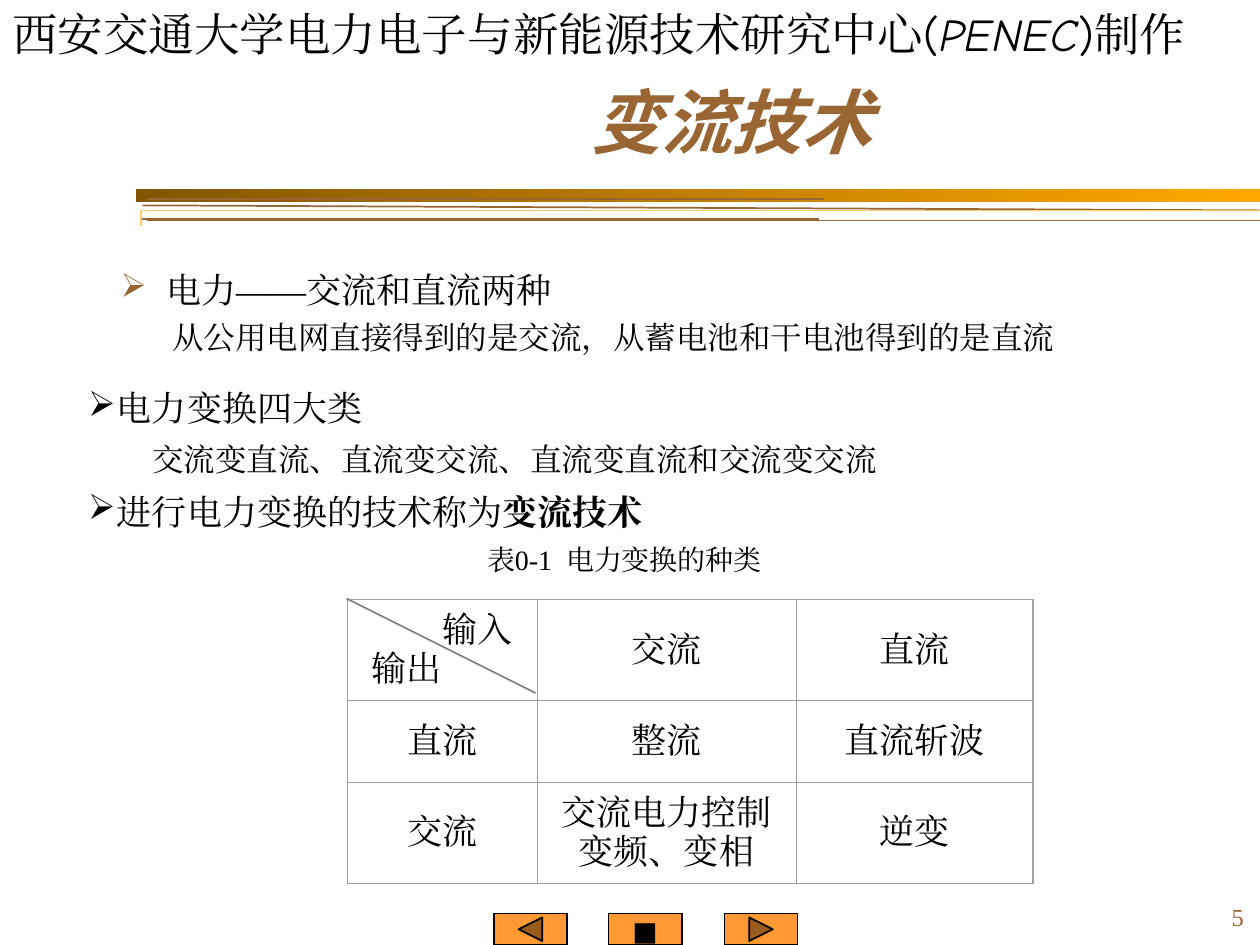
from dataclasses import dataclass
from typing import Optional

from lxml import etree
from pptx import Presentation
from pptx.dml.color import RGBColor
from pptx.enum import lang, shapes, text
from pptx.oxml import ns
from pptx.util import Inches, Pt

BLACK = RGBColor(0x00, 0x00, 0x00)
BROWN = RGBColor(0x99, 0x66, 0x33)
DARK_GOLD = RGBColor(0x82, 0x56, 0x00)
GOLD = RGBColor(0xFF, 0xA8, 0x00)
PALE_GOLD = RGBColor(0xFF, 0xCC, 0x66)
ORANGE = RGBColor(0xFF, 0x99, 0x33)
GRID_GRAY = RGBColor(0xA0, 0xA0, 0xA0)
DIAGONAL_GRAY = RGBColor(0x80, 0x80, 0x80)
SERIF, COMIC, SANS = "Times New Roman", "Comic Neue", "Noto Sans CJK SC"
ALIGN, ANCHOR = text.PP_ALIGN, text.MSO_ANCHOR


@dataclass
class Span:
    words: str
    size: float
    font: str = SERIF
    color: RGBColor = BLACK
    bold: bool = False
    italic: bool = False


@dataclass
class Para:
    spans: list[Span]
    align: ALIGN = ALIGN.LEFT
    margin: float = 0
    indent: float = 0
    bullet: Optional[RGBColor] = None
    bullet_size: int = 100
    before: float = 0
    spacing: float = 1.0


def sub(parent, tag: str, **attributes: str):
    return etree.SubElement(parent, ns.qn(tag), attributes)


def write(frame, paras: list[Para]) -> None:
    for index, para in enumerate(paras):
        paragraph = frame.paragraphs[0] if index == 0 else frame.add_paragraph()
        properties = paragraph._p.get_or_add_pPr()
        properties.set("marL", str(Inches(para.margin)))
        properties.set("indent", str(Inches(para.indent)))
        if para.bullet is not None:
            sub(sub(properties, "a:buClr"), "a:srgbClr", val=str(para.bullet))
            sub(properties, "a:buSzPct", val=str(para.bullet_size * 1000))
            sub(properties, "a:buChar", char="➢")
        paragraph.alignment = para.align
        paragraph.line_spacing = para.spacing
        paragraph.space_before = Pt(para.before)
        for span in para.spans:
            run = paragraph.add_run()
            run.text = span.words
            font = run.font
            font.size, font.name = Pt(span.size), span.font
            font.bold, font.italic = span.bold, span.italic
            font.color.rgb = span.color
            font.language_id = lang.MSO_LANGUAGE_ID.SIMPLIFIED_CHINESE
            sub(run._r.get_or_add_rPr(), "a:ea", typeface=span.font)


def add_text(slide, left: float, top: float, width: float, height: float,
             paras: list[Para], anchor: ANCHOR = ANCHOR.TOP) -> None:
    frame = slide.shapes.add_textbox(
        Inches(left), Inches(top), Inches(width), Inches(height)).text_frame
    frame.word_wrap = True
    frame.vertical_anchor = anchor
    write(frame, paras)


def add_line(slide, x1: float, y1: float, x2: float, y2: float, color: RGBColor) -> None:
    line = slide.shapes.add_connector(
        shapes.MSO_CONNECTOR.STRAIGHT, Inches(x1), Inches(y1), Inches(x2), Inches(y2))
    line.line.color.rgb = color
    line.line.width = Pt(1)
    sub(line._element.spPr, "a:effectLst")


def add_header_rules(slide) -> None:
    bar = slide.shapes.add_shape(shapes.MSO_SHAPE.RECTANGLE, Inches(1.08),
                                 Inches(1.5), Inches(8.92), Inches(0.1))
    bar.shadow.inherit = False
    bar.line.fill.background()
    bar.fill.gradient()
    bar.fill.gradient_angle = 0
    for stop, color in zip(bar.fill.gradient_stops, (DARK_GOLD, GOLD)):
        stop.color.rgb = color
    for ends in ((1.17, 1.75, 10, 1.75), (1.13, 1.74, 6.5, 1.74),
                 (1.17, 1.58, 6.54, 1.58), (1.13, 1.63, 10, 1.67)):
        add_line(slide, *ends, BROWN)
    builder = slide.shapes.build_freeform(Inches(1.12), Inches(1.79))
    builder.add_line_segments(
        [(Inches(1.12), Inches(1.67)), (Inches(10), Inches(1.67))], close=False)
    corner = builder.convert_to_shape()
    corner.shadow.inherit = False
    corner.fill.background()
    corner.line.color.rgb = PALE_GOLD
    corner.line.width = Pt(1)


def add_button(slide, left: float, kind: shapes.MSO_SHAPE):
    button = slide.shapes.add_shape(
        kind, Inches(left), Inches(7.25), Inches(0.58), Inches(0.25))
    button.shadow.inherit = False
    button.fill.solid()
    button.fill.fore_color.rgb = ORANGE
    button.line.color.rgb = BLACK
    button.line.width = Pt(1)
    return button


def set_borders(cell, widths: dict[str, float]) -> None:
    properties = cell._tc.get_or_add_tcPr()
    for index, (side, width) in enumerate(widths.items()):
        border = etree.Element(ns.qn(f"a:ln{side}"), w=str(Pt(width)))
        sub(sub(border, "a:solidFill"), "a:srgbClr", val=str(GRID_GRAY))
        properties.insert(index, border)


def add_conversion_table(slide) -> None:
    rows = [
        [["输入", "输出"], ["交流"], ["直流"]],
        [["直流"], ["整流"], ["直流斩波"]],
        [["交流"], ["交流电力控制", "变频、变相"], ["逆变"]],
    ]
    widths, heights = (1.5, 2.06, 1.88), (0.8, 0.65, 0.8)
    outer, inner = 0.88, 0.25
    table = slide.shapes.add_table(
        3, 3, Inches(2.76), Inches(4.76),
        Inches(sum(widths)), Inches(sum(heights))).table
    table.first_row = table.horz_banding = False
    for column, width in zip(table.columns, widths):
        column.width = Inches(width)
    for row, height in zip(table.rows, heights):
        row.height = Inches(height)
    for r, row in enumerate(rows):
        for c, lines in enumerate(row):
            cell = table.cell(r, c)
            cell.margin_left = cell.margin_right = Inches(0.19)
            cell.vertical_anchor = ANCHOR.MIDDLE
            cell.fill.background()
            aligns = (ALIGN.RIGHT, ALIGN.LEFT) if r == c == 0 else (ALIGN.CENTER,) * 2
            write(cell.text_frame,
                  [Para([Span(line, 20)], align) for line, align in zip(lines, aligns)])
            set_borders(cell, {"L": outer if c == 0 else inner,
                               "R": outer if c == 2 else inner,
                               "T": outer if r == 0 else inner,
                               "B": outer if r == 2 else inner})
    add_line(slide, 2.75, 4.75, 4.25, 5.5, DIAGONAL_GRAY)


def main() -> None:
    deck = Presentation()
    deck.slide_width, deck.slide_height = Inches(10), Inches(7.5)
    slide = deck.slides.add_slide(deck.slide_layouts[6])

    add_header_rules(slide)
    add_text(slide, 0, 0, 9.67, 0.97, [Para([
        Span("西安交通大学电力电子与新能源技术研究中心", 26),
        Span("(", 26, COMIC), Span("PENEC", 26, COMIC, italic=True),
        Span(")", 26, COMIC), Span("制作", 26)])])
    add_text(slide, 1.67, 0.33, 8.27, 1.25, [Para(
        [Span("变流技术", 40, SANS, BROWN, bold=True, italic=True)], ALIGN.CENTER)],
        ANCHOR.MIDDLE)
    add_text(slide, 0.75, 2.08, 8.67, 1.25, [
        Para([Span("电力——交流和直流两种", 20)], ALIGN.JUSTIFY, 0.47, -0.36, BROWN, 95),
        Para([Span("从公用电网直接得到的是交流，从蓄电池和干电池得到的是直流", 18)],
             ALIGN.JUSTIFY, 0.83, -0.31, before=4.5)])
    topic = dict(margin=0.5, indent=-0.23, bullet=BLACK, spacing=1.3)
    add_text(slide, 0.33, 2.92, 9.25, 1.71, [
        Para([Span("电力变换四大类", 20)], **topic),
        Para([Span("交流变直流、直流变交流、直流变直流和交流变交流", 18)],
             margin=0.78, spacing=1.3),
        Para([Span("进行电力变换的技术称为", 20), Span("变流技术", 20, bold=True)], **topic),
        Para([Span("表0-1  电力变换的种类", 16)], ALIGN.CENTER, spacing=1.3)])
    add_conversion_table(slide)

    add_button(slide, 3.92, shapes.MSO_SHAPE.ACTION_BUTTON_BACK_OR_PREVIOUS)
    add_button(slide, 5.75, shapes.MSO_SHAPE.ACTION_BUTTON_FORWARD_OR_NEXT)
    home = add_button(slide, 4.83, shapes.MSO_SHAPE.ACTION_BUTTON_CUSTOM)
    home.text_frame.word_wrap = False
    home.text_frame.vertical_anchor = ANCHOR.MIDDLE
    write(home.text_frame, [Para([Span("■", 24)], ALIGN.CENTER)])
    add_text(slide, 8.08, 6.94, 1.89, 0.5,
             [Para([Span("5", 14, color=BROWN)], ALIGN.RIGHT)], ANCHOR.BOTTOM)
    deck.save("out.pptx")


if __name__ == "__main__":
    main()
